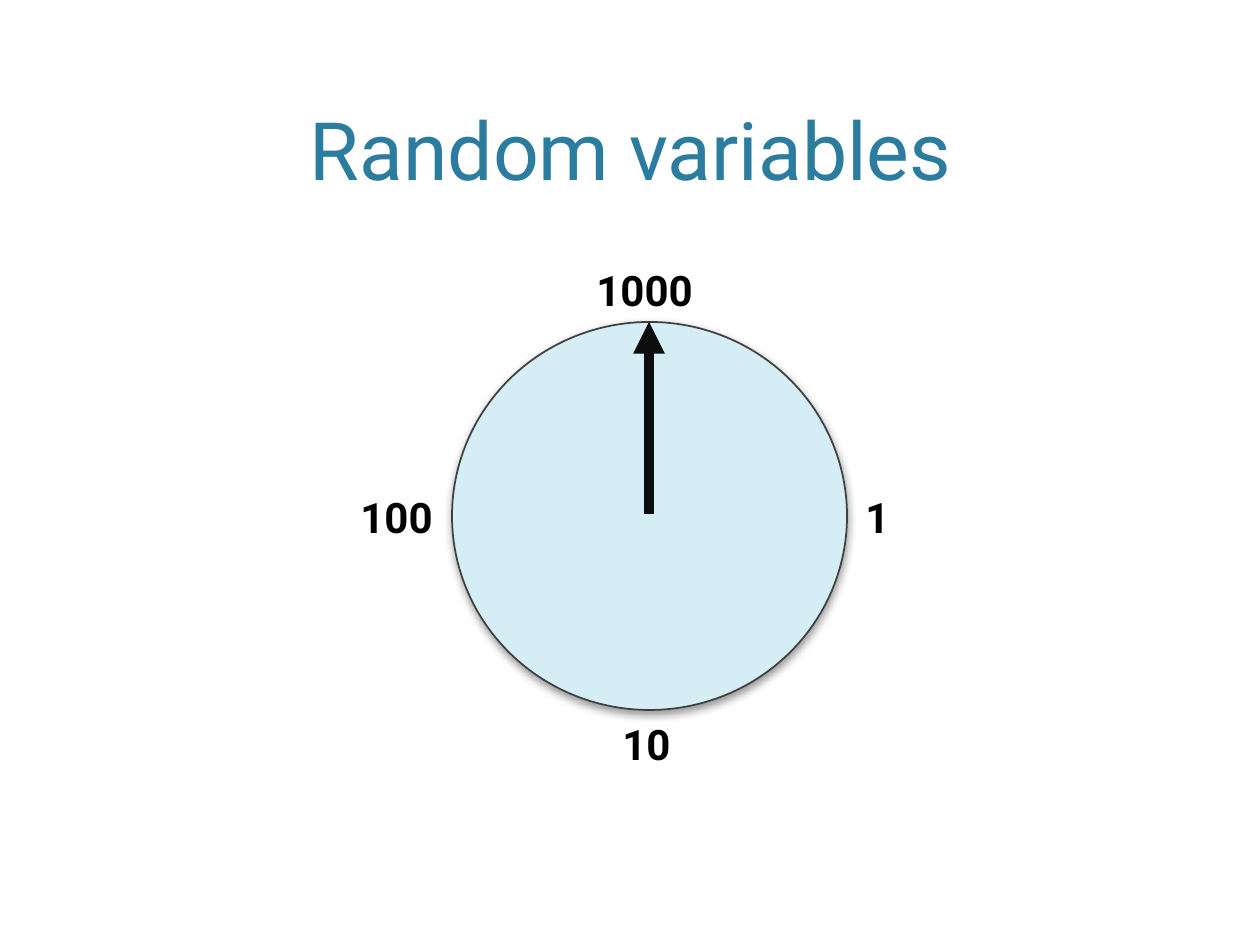
from lxml import etree
from pptx import Presentation
from pptx import util as u
from pptx.dml.color import RGBColor
from pptx.enum import shapes, text
from pptx.oxml import parse_xml
from pptx.oxml.ns import nsdecls, qn

TEAL = RGBColor(0x2C, 0x7C, 0x9F)
PALE_BLUE = RGBColor(0xD5, 0xED, 0xF4)
GREY = RGBColor(0x40, 0x40, 0x40)
NEAR_BLACK = RGBColor(0x0D, 0x0D, 0x0D)
BLACK = RGBColor(0, 0, 0)


def px(n):
    return u.Emu(round(n * 914400 / 126))


def add_text(words, left, top, width, height, size=24, color=BLACK, bold=True,
             wrap=False, align=text.PP_ALIGN.LEFT,
             anchor=text.MSO_ANCHOR.TOP, bottom_inset=6):
    frame = slide.shapes.add_textbox(px(left), px(top), px(width), px(height)).text_frame
    frame.word_wrap = wrap
    frame.vertical_anchor = anchor
    frame.margin_bottom = px(bottom_inset)
    paragraph = frame.paragraphs[0]
    paragraph.alignment = align
    run = paragraph.add_run()
    run.text = words
    run.font.name = "Roboto"
    run.font.size = u.Pt(size)
    run.font.bold = bold
    run.font.color.rgb = color


deck = Presentation()
deck.slide_width, deck.slide_height = px(1260), px(945)
slide = deck.slides.add_slide(deck.slide_layouts[6])

add_text("Random variables", 76, 15, 1109, 184, size=46, color=TEAL, bold=False,
         wrap=True, align=text.PP_ALIGN.CENTER,
         anchor=text.MSO_ANCHOR.BOTTOM, bottom_inset=2)

dial = slide.shapes.add_shape(shapes.MSO_SHAPE.OVAL, px(452), px(322), px(395), px(388))
dial.fill.solid()
dial.fill.fore_color.rgb = PALE_BLUE
dial.line.color.rgb = GREY
dial.line.width = u.Pt(1)
dial.shadow.inherit = False
glow = dial.element.spPr.find(qn("a:effectLst"))
glow.append(parse_xml(
    f'<a:outerShdw {nsdecls("a")} blurRad="{u.Pt(5)}" dist="{u.Pt(2)}" dir="5400000" rotWithShape="0">'
    '<a:srgbClr val="000000"><a:alpha val="40000"/></a:srgbClr></a:outerShdw>'))

needle = slide.shapes.add_connector(
    shapes.MSO_CONNECTOR.STRAIGHT, px(649), px(514), px(649), px(322))
needle.line.color.rgb = NEAR_BLACK
needle.line.width = u.Pt(6)
etree.SubElement(needle.line._get_or_add_ln(), qn("a:tailEnd"), type="triangle")
etree.SubElement(needle.element.spPr, qn("a:effectLst"))

for outcome, left, top, width in [
    ("1000", 584, 258, 131),
    ("1", 853, 485, 52),
    ("10", 610, 712, 78),
    ("100", 348, 485, 105),
]:
    add_text(outcome, left, top, width, 63)

deck.save("out.pptx")
